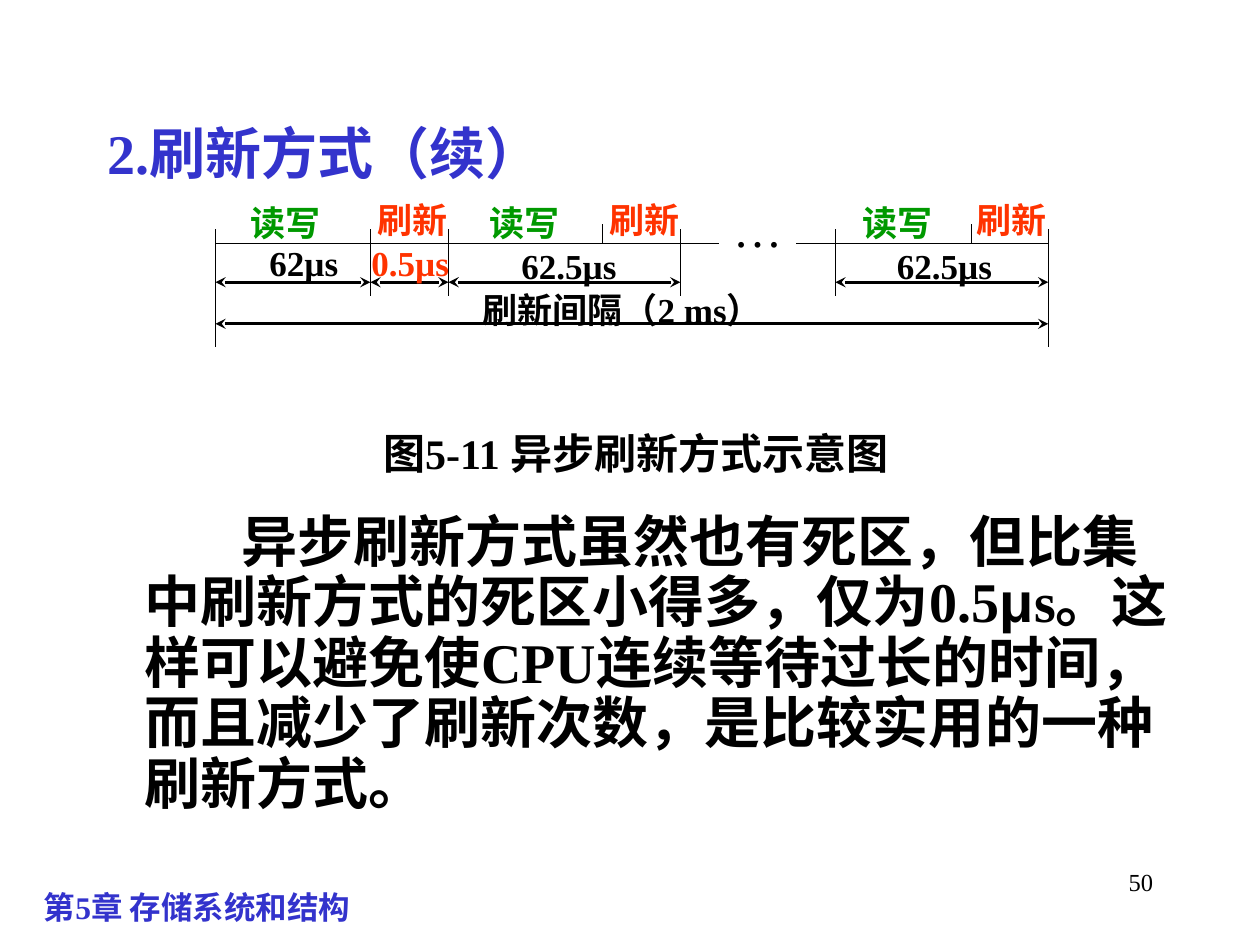
from dataclasses import dataclass

from lxml import etree
from pptx import Presentation
from pptx.dml.color import RGBColor
from pptx.enum.shapes import MSO_CONNECTOR as Connector
from pptx.enum.text import MSO_ANCHOR as Anchor, PP_ALIGN as Align
from pptx.oxml.ns import qn
from pptx.util import Inches, Pt


@dataclass(frozen=True)
class Theme:
    font: str = "Times New Roman"
    symbol_font: str = "Arial"
    blue: str = "3333CC"
    black: str = "000000"
    green: str = "009900"
    red: str = "FF3300"
    heading: int = 32
    dots: int = 28
    caption: int = 24
    label: int = 20
    footer: int = 18
    number: int = 14
    thin: float = 0.75
    thick: float = 1.5


THEME = Theme()


@dataclass(frozen=True)
class Label:
    text: str
    left: float
    top: float
    width: float
    color: str = THEME.black
    size: int = THEME.label
    bold: bool = True
    height: float = 0.44


@dataclass(frozen=True)
class Rule:
    x1: float
    y1: float
    x2: float
    y2: float
    arrows: bool = False


def style_paragraph(para, size: int, color: str, bold: bool = True) -> None:
    for span in para.runs:
        span.font.name = THEME.font
        span.font.size = Pt(size)
        span.font.bold = bold
        span.font.color.rgb = RGBColor.from_string(color)


def add_label(shapes, label: Label):
    box = shapes.add_textbox(Inches(label.left), Inches(label.top),
                             Inches(label.width), Inches(label.height))
    box.text_frame.word_wrap = True
    box.text_frame.text = label.text
    para = box.text_frame.paragraphs[0]
    style_paragraph(para, label.size, label.color, label.bold)
    return para


def add_rule(shapes, rule: Rule) -> None:
    line = shapes.add_connector(Connector.STRAIGHT, Inches(rule.x1), Inches(rule.y1),
                                Inches(rule.x2), Inches(rule.y2))
    line.line.color.rgb = RGBColor.from_string(THEME.black)
    line.line.width = Pt(THEME.thick if rule.arrows else THEME.thin)
    if rule.arrows:
        outline = line.line._get_or_add_ln()
        for end in ("a:headEnd", "a:tailEnd"):
            etree.SubElement(outline, qn(end)).set("type", "stealth")
    etree.SubElement(line._element.spPr, qn("a:effectLst"))


# Time axis of the refresh diagram
START, REFRESH, SECOND, BREAK, LAST, END = 1.71, 2.94, 3.56, 5.4, 6.63, 8.32
TICK_TOP, AXIS, SPAN_Y, INTERVAL_Y = 1.82, 1.93, 2.24, 2.57

RULES = (
    [Rule(x, TICK_TOP, x, 2.75) for x in (START, END)]
    + [Rule(x, TICK_TOP, x, 2.35) for x in (REFRESH, SECOND, BREAK, LAST)]
    + [Rule(x, 1.78, x, AXIS) for x in (4.78, 7.71)]
    + [Rule(x1, AXIS, x2, AXIS) for x1, x2 in ((START, 5.71), (6.32, END))]
    + [Rule(x1, SPAN_Y, x2, SPAN_Y, arrows=True)
       for x1, x2 in ((START, REFRESH), (REFRESH, SECOND), (SECOND, BREAK), (LAST, END))]
    + [Rule(START, INTERVAL_Y, END, INTERVAL_Y, arrows=True)]
)

LABELS = (
    [Label("刷新间隔（2 ms）", 3.73, 2.24, 2.9)]
    + [Label("读写", x, 1.55, 1.42, THEME.green) for x in (1.89, 3.79, 6.75)]
    + [Label("刷新", x, 1.53, 0.98, THEME.red) for x in (2.9, 4.74, 7.65)]
    + [Label("…", 5.72, 1.53, 1.57, size=THEME.dots, bold=False, height=0.57)]
    + [Label("62µs", 2.04, 1.87, 1.06), Label("0.5µs", 2.85, 1.87, 1.06, THEME.red)]
    + [Label("62.5µs", x, 1.89, 1.37) for x in (4.04, 7.02)]
)


def add_title(page) -> None:
    title = page.shapes.title
    title.left, title.top = Inches(0.75), Inches(0.58)
    title.width, title.height = Inches(8.5), Inches(1.25)
    title.text_frame.text = "2.刷新方式（续）"
    title.text_frame.vertical_anchor = Anchor.MIDDLE
    para = title.text_frame.paragraphs[0]
    para.alignment = Align.LEFT
    style_paragraph(para, THEME.heading, THEME.blue)


def add_body(page) -> None:
    box = page.shapes.add_textbox(Inches(0.67), Inches(3.39), Inches(8.75), Inches(3.36))
    frame = box.text_frame
    frame.word_wrap = True
    frame.text = "图5-11 异步刷新方式示意图"
    caption = frame.paragraphs[0]
    caption.alignment = Align.CENTER
    caption.line_spacing = 0.9
    style_paragraph(caption, THEME.caption, THEME.black)

    # Explanation, with a first-line indent
    para = frame.add_paragraph()
    para.line_spacing = 0.9
    para.space_before = Pt(20)
    properties = para._p.get_or_add_pPr()
    properties.set("marL", str(Inches(0.38)))
    properties.set("indent", str(Inches(0.77)))
    for text in ("异步刷新方式虽然也有死区，但比集中刷新方式的死区小得多，仅为0.5", "μ",
                 "s。这样可以避免使CPU连续等待过长的时间，而且减少了刷新次数，"
                 "是比较实用的一种刷新方式。"):
        para.add_run().text = text
    style_paragraph(para, THEME.heading, THEME.black)
    para.runs[1].font.name = THEME.symbol_font


def main() -> None:
    deck = Presentation()
    deck.slide_width, deck.slide_height = Inches(10), Inches(7.5)
    page = deck.slides.add_slide(deck.slide_layouts[5])

    # Footer and page number
    add_label(page.shapes, Label("第5章 存储系统和结构", 0.25, 7, 5.83,
                                 THEME.blue, THEME.footer, height=0.25))
    number = add_label(page.shapes, Label("50", 7.17, 6.83, 2.08, size=THEME.number,
                                          bold=False, height=0.5))
    number.alignment = Align.RIGHT

    add_title(page)
    add_body(page)

    # Refresh diagram
    diagram = page.shapes.add_group_shape()
    for rule in RULES:
        add_rule(diagram.shapes, rule)
    for label in LABELS:
        add_label(diagram.shapes, label)

    deck.save("out.pptx")


if __name__ == "__main__":
    main()
